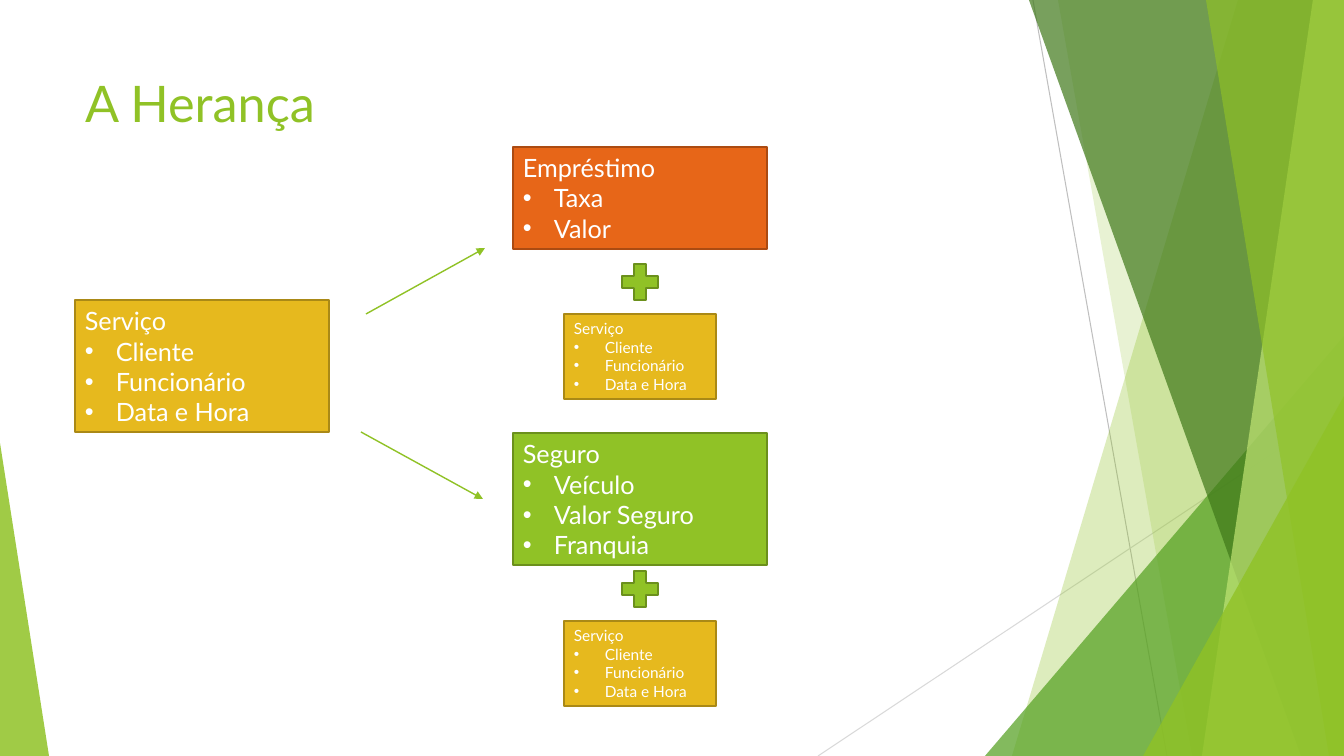
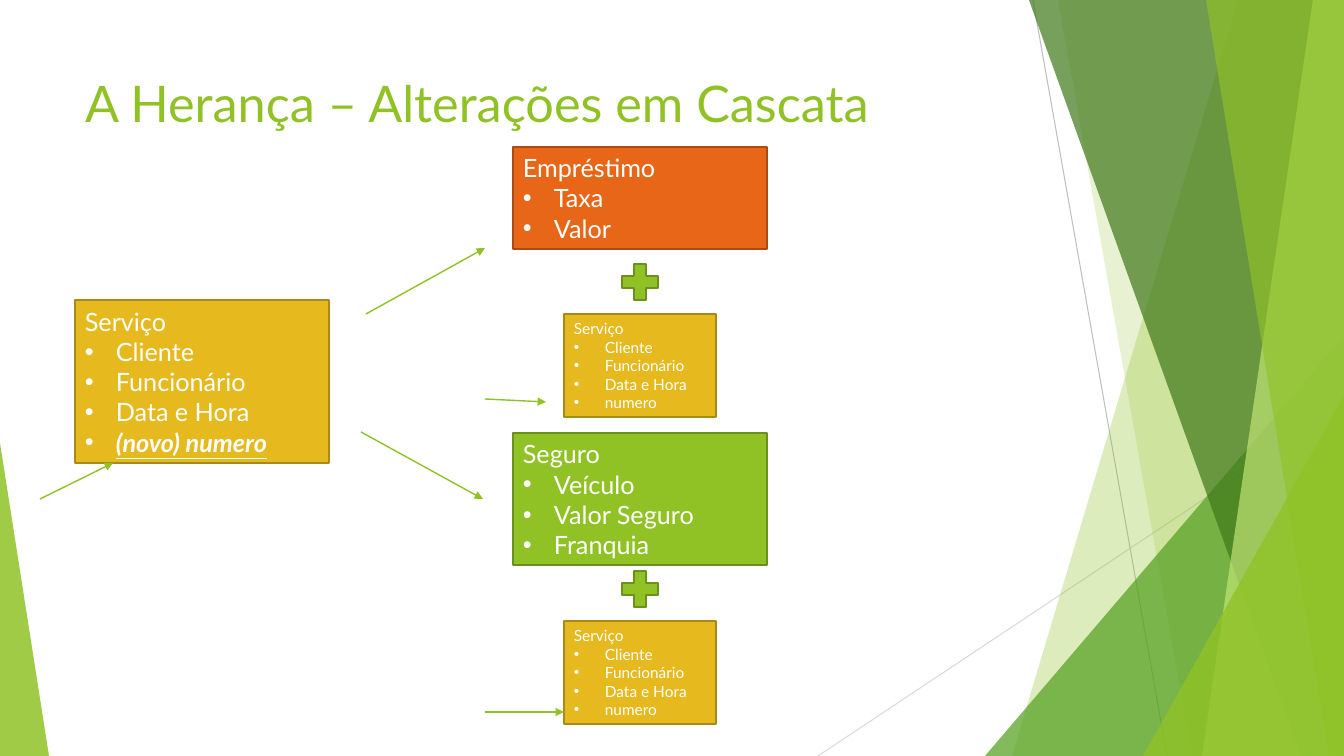
from lxml.etree import SubElement
from pptx import Presentation
from pptx.dml.color import RGBColor
from pptx.enum.shapes import MSO_CONNECTOR, MSO_SHAPE
from pptx.enum.text import MSO_ANCHOR, MSO_AUTO_SIZE, PP_ALIGN
from pptx.oxml.ns import qn
from pptx.util import Pt

WIDE, HIGH = 1344, 756
SCALE = 12192000 / WIDE
FONT = "Lato"
GREEN, LEAF, FOREST, LIME = "90C226", "54A021", "3F7819", "C0E474"
MOSS, GOLD, BRONZE = "6B901C", "E6B91E", "AA8916"
ORANGE, RUST, WHITE = "E76618", "AB4B12", "FFFFFF"
SILVER, MIST = "BFBFBF", "D9D9D9"

BOX, MINI, PLUS = 254, 152, 48
LEFT, RIGHT = 75, 513
INDENT = 31
FIELDS = ["Cliente", "Funcionário", "Data e Hora"]


def px(*lengths):
    return [round(length * SCALE) for length in lengths]


def color(code):
    return RGBColor.from_string(code)


def paint(shape, fill, edge=None, alpha=100):
    shape.shadow.inherit = False
    shape.fill.solid()
    shape.fill.fore_color.rgb = color(fill)
    if alpha < 100:
        tint = shape.element.xpath("./p:spPr/a:solidFill/a:srgbClr")[0]
        SubElement(tint, qn("a:alpha"), val=str(alpha * 1000))
    if edge:
        shape.line.color.rgb = color(edge)
        shape.line.width = Pt(1.5)
    else:
        shape.line.fill.background()
    return shape


def bullet(para):
    props = para._p.get_or_add_pPr()
    indent = px(INDENT)[0]
    props.set("marL", str(indent))
    props.set("indent", str(-indent))
    SubElement(props, qn("a:buFont"), typeface="Arial")
    SubElement(props, qn("a:buChar"), char="•")


def write(frame, lines, size, ink=WHITE, anchor=MSO_ANCHOR.MIDDLE,
          fit=MSO_AUTO_SIZE.NONE, strong=None):
    """Write a heading and its bullets; the line equal to strong stands out."""
    frame.word_wrap = True
    frame.auto_size = fit
    frame.vertical_anchor = anchor
    for row, line in enumerate(lines):
        para = frame.add_paragraph() if row else frame.paragraphs[0]
        para.alignment = PP_ALIGN.LEFT
        if row:
            bullet(para)
        run = para.add_run()
        run.text = line
        font = run.font
        font.name, font.size = FONT, Pt(size)
        font.color.rgb = color(ink)
        if line == strong:
            font.bold = font.italic = font.underline = True


def stroke(slide, start, end, ink=GREEN, width=1, arrow=True):
    line = slide.shapes.add_connector(
        MSO_CONNECTOR.STRAIGHT, *px(*start, *end))
    line.line.color.rgb = color(ink)
    line.line.width = Pt(width)
    if arrow:
        SubElement(line.line._get_or_add_ln(), qn("a:tailEnd"), type="triangle")
    SubElement(line.element.spPr, qn("a:effectLst"))
    return line


def band(slide, top, foot, fill, alpha):
    """Fill from a slanted left edge to the right side of the slide."""
    form = slide.shapes.build_freeform(top, 0, scale=SCALE)
    form.add_line_segments([(WIDE, 0), (WIDE, HIGH), (foot, HIGH)])
    return paint(form.convert_to_shape(), fill, alpha=alpha)


def wedge(slide, left, top, width, apex, fill, alpha):
    shape = slide.shapes.add_shape(
        MSO_SHAPE.ISOSCELES_TRIANGLE, *px(left, top, width, HIGH - top))
    shape.adjustments[0] = apex
    return paint(shape, fill, alpha=alpha)


def backdrop(slide):
    """Draw the shared decoration and move it to the slide's layout."""
    parts = [
        stroke(slide, (1033, 0), (1167, HIGH), SILVER, 0.75, False),
        stroke(slide, (WIDE, 406), (818, HIGH), MIST, 0.75, False),
        band(slide, 1238, 1012, GREEN, 30),
        band(slide, 1058, 1192, GREEN, 20),
        wedge(slide, 985, 336, 359, 1, LEAF, 72),
        band(slide, 1029, 1301, FOREST, 70),
        band(slide, 1313, 1202, LIME, 70),
        band(slide, 1206, 1329, GREEN, 65),
        wedge(slide, 1143, 396, 201, 1, GREEN, 80),
        wedge(slide, 0, 443, 49, 0, GREEN, 85),
    ]
    tree = slide.slide_layout.shapes.element
    for order, part in enumerate(parts):
        part.element.xpath(".//p:cNvPr")[0].set("id", str(100 + order))
        tree.insert(2 + order, part.element)


def card(slide, left, top, width, lines, fill, edge, size=18, strong=None):
    """Draw a class box whose height follows its number of lines."""
    height = 10 + len(lines) * size * 1.7
    shape = slide.shapes.add_shape(
        MSO_SHAPE.RECTANGLE, *px(left, top, width, height))
    paint(shape, fill, edge)
    write(shape.text_frame, lines, size, strong=strong,
          fit=MSO_AUTO_SIZE.SHAPE_TO_FIT_TEXT)


def heir(slide, left, top, drop, lines, fill, edge, base):
    """Draw a child class, a plus sign drop below its top, and its base."""
    card(slide, left, top, BOX, lines, fill, edge)
    plus = slide.shapes.add_shape(
        MSO_SHAPE.MATH_PLUS,
        *px(left + (BOX - PLUS) / 2, top + drop, PLUS, PLUS))
    paint(plus, GREEN, MOSS)
    card(slide, left + (BOX - MINI) / 2, top + drop + 56, MINI,
         base, GOLD, BRONZE, size=11)


def lesson(slide, title, extra=None, strong=None):
    """Show the inheritance tree, with an extra field if one is given."""
    write(slide.shapes.title.text_frame, [title], 36, GREEN, MSO_ANCHOR.TOP)
    base = ["Serviço", *FIELDS]
    card(slide, LEFT, 300, BOX, base + ([strong] if strong else []),
         GOLD, BRONZE, strong=strong)
    copied = base + ([extra] if extra else [])
    heir(slide, RIGHT, 147, 111, ["Empréstimo", "Taxa", "Valor"],
         ORANGE, RUST, copied)
    heir(slide, RIGHT, 433, 132,
         ["Seguro", "Veículo", "Valor Seguro", "Franquia"],
         GREEN, MOSS, copied)
    arrows = [((366, 314), (485, 248)), ((361, 432), (483, 499))]
    if extra:
        arrows += [((40, 499), (113, 463)), ((485, 399), (546, 402)),
                   ((485, 712), (564, 712))]
    for start, end in arrows:
        stroke(slide, start, end)


def main():
    deck = Presentation()
    deck.slide_width, deck.slide_height = px(WIDE, HIGH)
    layout = deck.slide_layouts[5]
    title = layout.placeholders[0]
    title.left, title.top, title.width, title.height = px(LEFT, 67, 948, 145)

    first = deck.slides.add_slide(layout)
    backdrop(first)
    lesson(first, "A Herança")
    lesson(deck.slides.add_slide(layout), "A Herança – Alterações em Cascata",
           extra="numero", strong="(novo) numero")
    deck.save("out.pptx")


if __name__ == "__main__":
    main()
